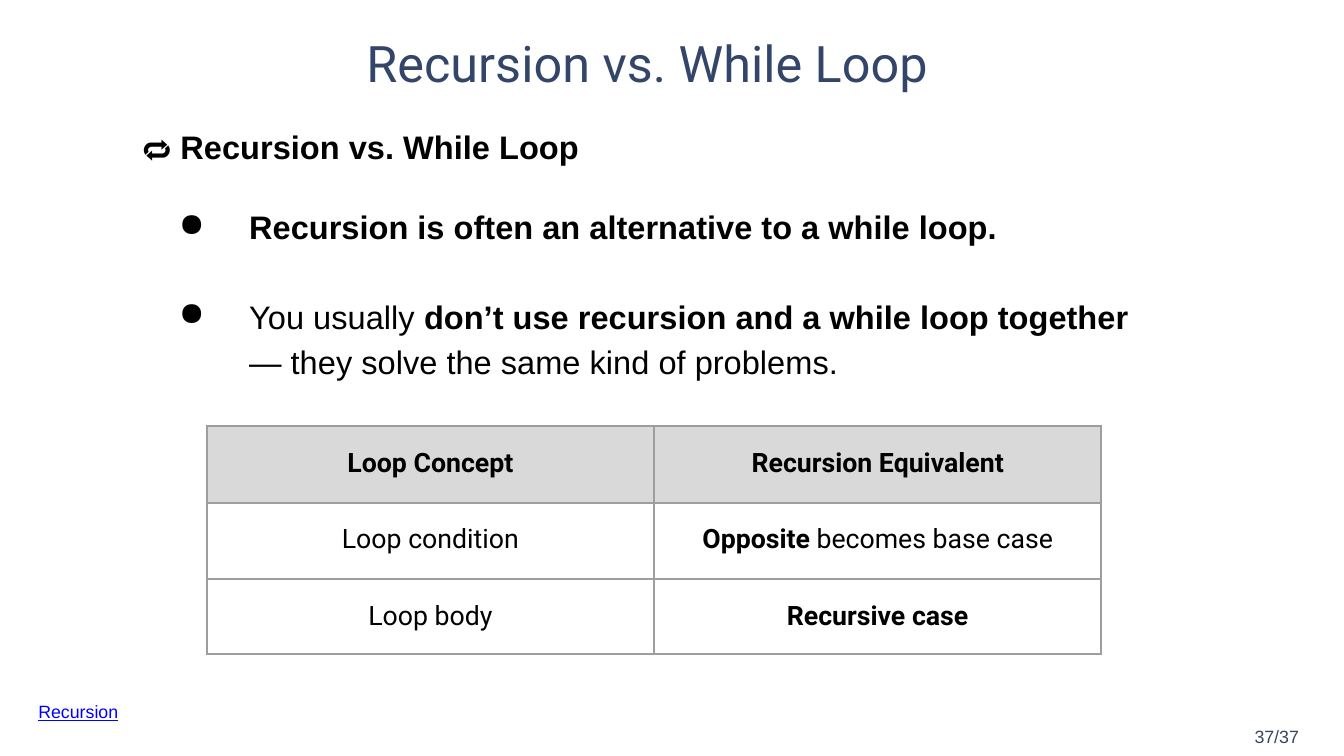
from dataclasses import dataclass

import pptx
import pptx.dml.color
import pptx.enum.text
import pptx.oxml
import pptx.oxml.ns
import pptx.util
from pptx.util import Inches

CENTER = pptx.enum.text.PP_ALIGN.CENTER


@dataclass(frozen=True)
class Theme:
    heading_font: str = "Roboto"
    body_font: str = "Arial"
    title_color: str = "334669"
    text_color: str = "000000"
    link_color: str = "0000FF"
    page_color: str = "3A4661"
    header_fill: str = "D9D9D9"
    border_color: str = "9E9E9E"
    border_width: float = 0.75
    title_size: float = 17
    body_size: float = 11
    table_size: float = 9
    footer_size: float = 6


@dataclass(frozen=True)
class Span:
    text: str
    bold: bool = False


@dataclass(frozen=True)
class Label:
    text: str
    left: float
    top: float
    width: float
    height: float
    font: str
    size: float
    color: str
    underline: bool = False


@dataclass(frozen=True)
class BodyLine:
    spans: tuple[Span, ...]
    space_before: float = 0
    bullet: bool = False


THEME = Theme()

LABELS = (
    Label("Recursion vs. While Loop", 1.72, 0.14, 2.95, 0.3,
          THEME.heading_font, THEME.title_size, THEME.title_color),
    Label("Recursion", 0.18, 3.28, 0.48, 0.11,
          THEME.body_font, THEME.footer_size, THEME.link_color, underline=True),
    Label("37/37", 5.89, 3.4, 0.26, 0.11,
          THEME.body_font, THEME.footer_size, THEME.page_color),
)

BODY = (
    BodyLine((Span("🔁 Recursion vs. While Loop", True),)),
    BodyLine((Span("Recursion is often an alternative to a while loop.", True),),
             space_before=12, bullet=True),
    BodyLine((Span("You usually "),
              Span("don’t use recursion and a while loop together ", True),
              Span("— they solve the same kind of problems.")),
             space_before=15, bullet=True),
)

TABLE_ROWS = (
    ((Span("Loop Concept", True),), (Span("Recursion Equivalent", True),)),
    ((Span("Loop condition"),), (Span("Opposite", True), Span(" becomes base case"))),
    ((Span("Loop body"),), (Span("Recursive case", True),)),
)
ROW_HEIGHTS = (0.36, 0.36, 0.34)
COLUMN_WIDTH = 2.1


def rgb(color: str) -> pptx.dml.color.RGBColor:
    return pptx.dml.color.RGBColor.from_string(color)


def write_text(paragraph, spans: tuple[Span, ...], *, font: str, size: float,
               color: str, underline: bool = False, align=None) -> None:
    paragraph.alignment = align
    for span in spans:
        run = paragraph.add_run()
        run.text = span.text
        run.font.name = font
        run.font.size = pptx.util.Pt(size)
        run.font.bold = span.bold
        run.font.underline = underline
        run.font.color.rgb = rgb(color)


def add_text_frame(slide, left: float, top: float, width: float, height: float,
                   top_inset: float = 0.01):
    shape = slide.shapes.add_textbox(*map(Inches, (left, top, width, height)))
    frame = shape.text_frame
    frame.word_wrap = True
    frame.margin_left = frame.margin_right = frame.margin_bottom = 0
    frame.margin_top = Inches(top_inset)
    return frame


def add_label(slide, label: Label) -> None:
    frame = add_text_frame(slide, label.left, label.top, label.width, label.height)
    write_text(frame.paragraphs[0], (Span(label.text),), font=label.font,
               size=label.size, color=label.color, underline=label.underline)


def add_bullet(paragraph) -> None:
    properties = paragraph._p.get_or_add_pPr()
    properties.set("marL", str(Inches(0.5)))
    properties.set("indent", str(Inches(-0.33)))
    namespace = pptx.oxml.ns.nsdecls("a")
    for xml in (
        f'<a:buClr {namespace}><a:srgbClr val="{THEME.text_color}"/></a:buClr>',
        f'<a:buChar {namespace} char="●"/>',
    ):
        properties.append(pptx.oxml.parse_xml(xml))


def add_body(slide, lines: tuple[BodyLine, ...]) -> None:
    frame = add_text_frame(slide, 0.67, 0.55, 4.7, 1.23, top_inset=0.02)
    for index, line in enumerate(lines):
        paragraph = frame.add_paragraph() if index else frame.paragraphs[0]
        paragraph.line_spacing = 1.15
        if line.space_before:
            paragraph.space_before = pptx.util.Pt(line.space_before)
        if line.bullet:
            add_bullet(paragraph)
        write_text(paragraph, line.spans, font=THEME.body_font,
                   size=THEME.body_size, color=THEME.text_color)


def add_borders(cell) -> None:
    properties = cell._tc.get_or_add_tcPr()
    width = pptx.util.Pt(THEME.border_width)
    for side in ("lnL", "lnR", "lnT", "lnB"):
        properties.append(pptx.oxml.parse_xml(
            f'<a:{side} {pptx.oxml.ns.nsdecls("a")} w="{width}"><a:solidFill>'
            f'<a:srgbClr val="{THEME.border_color}"/></a:solidFill></a:{side}>'))


def add_comparison_table(slide) -> None:
    column_count = len(TABLE_ROWS[0])
    table = slide.shapes.add_table(
        len(TABLE_ROWS), column_count, Inches(0.97), Inches(2),
        Inches(COLUMN_WIDTH * column_count), Inches(sum(ROW_HEIGHTS))).table
    table.horz_banding = False
    for column in table.columns:
        column.width = Inches(COLUMN_WIDTH)
    for row_index, row in enumerate(TABLE_ROWS):
        table.rows[row_index].height = Inches(ROW_HEIGHTS[row_index])
        for column_index, spans in enumerate(row):
            cell = table.cell(row_index, column_index)
            cell.margin_left = cell.margin_right = Inches(0.1)
            cell.margin_top = cell.margin_bottom = Inches(0.1)
            add_borders(cell)
            if row_index == 0:
                cell.fill.solid()
                cell.fill.fore_color.rgb = rgb(THEME.header_fill)
            else:
                cell.fill.background()
            write_text(cell.text_frame.paragraphs[0], spans,
                       font=THEME.heading_font, size=THEME.table_size,
                       color=THEME.text_color, align=CENTER)


def main() -> None:
    presentation = pptx.Presentation()
    presentation.slide_width = Inches(6.31)
    presentation.slide_height = Inches(3.55)
    slide = presentation.slides.add_slide(presentation.slide_layouts[6])
    for label in LABELS:
        add_label(slide, label)
    add_body(slide, BODY)
    add_comparison_table(slide)
    presentation.save("out.pptx")


if __name__ == "__main__":
    main()
